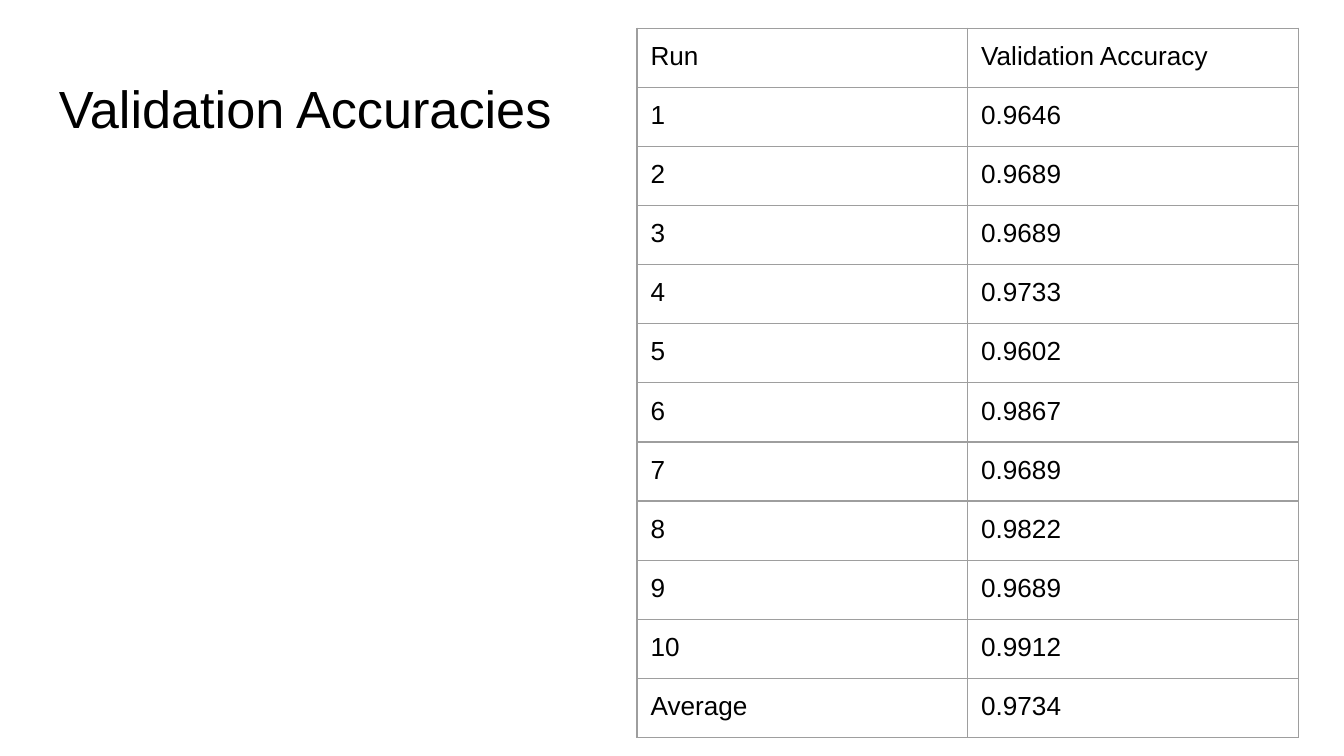
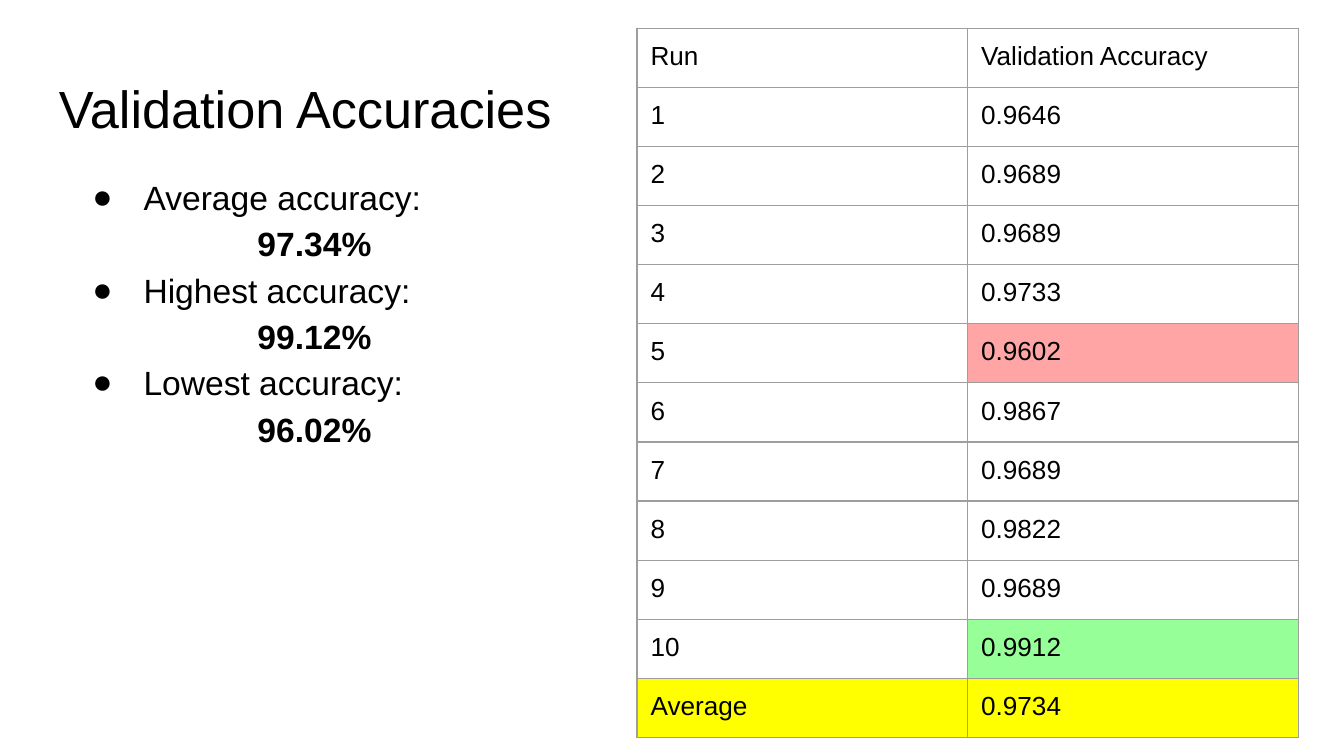
from lxml import etree
from pptx import Presentation
from pptx import util as u
from pptx.dml.color import RGBColor
from pptx.enum import text
from pptx.oxml.ns import qn

INK, GRID = "000000", "9E9E9E"
RED, GREEN, GOLD = "FFA5A5", "97FF97", "FFFF00"
FONT = "Arial"
PAD = u.Inches(0.1)
RUNS = ["0.9646", "0.9689", "0.9689", "0.9733", "0.9602",
        "0.9867", "0.9689", "0.9822", "0.9689", "0.9912"]
ROWS = [("Run", "Validation Accuracy"),
        *((str(n), score) for n, score in enumerate(RUNS, 1)),
        ("Average", "0.9734")]
MARKS = {(5, 1): RED, (10, 1): GREEN, (11, 0): GOLD, (11, 1): GOLD}
FACTS = [("Average", "97.34%"), ("Highest", "99.12%"), ("Lowest", "96.02%")]


def tint(code):
    return RGBColor.from_string(code)


def write(para, words, size=14, bold=False, color=INK, align=None, space=None):
    run = para.add_run()
    run.text = words
    font = run.font
    font.name, font.size, font.bold = FONT, u.Pt(size), bold
    font.color.rgb = tint(color)
    para.alignment = align
    para.line_spacing = space


def bullet(para, color=INK):
    props = para._p.get_or_add_pPr()
    props.set("marL", str(u.Inches(0.5)))
    props.set("indent", str(u.Inches(-0.38)))
    paint = etree.SubElement(props, qn("a:buClr"))
    etree.SubElement(paint, qn("a:srgbClr"), val=color)
    etree.SubElement(props, qn("a:buFont"), typeface=FONT)
    etree.SubElement(props, qn("a:buChar"), char="●")


def frame(cell, color=GRID, width=0.75):
    props = cell._tc.get_or_add_tcPr()
    for side in ("lnL", "lnR", "lnT", "lnB"):
        line = etree.SubElement(props, qn(f"a:{side}"), w=str(u.Pt(width)))
        fill = etree.SubElement(line, qn("a:solidFill"))
        etree.SubElement(fill, qn("a:srgbClr"), val=color)


class Deck:
    """Holds the shared style and the slide being built."""

    def __init__(self):
        self.file = Presentation()
        self.file.slide_width = u.Inches(10)
        self.file.slide_height = u.Inches(10) * 9 // 16
        self.slide = None

    def page(self, title):
        self.slide = self.file.slides.add_slide(self.file.slide_layouts[6])
        fill = self.slide.background.fill
        fill.solid()
        fill.fore_color.rgb = tint("FFFFFF")
        body = self.box(0.34, 0.47, 9.32, 0.63)
        write(body.paragraphs[0], title, size=28)

    def box(self, left, top, width, height):
        area = map(u.Inches, (left, top, width, height))
        body = self.slide.shapes.add_textbox(*area).text_frame
        body.word_wrap = True
        body.vertical_anchor = text.MSO_ANCHOR.TOP
        body.margin_left = body.margin_right = PAD
        body.margin_top = body.margin_bottom = PAD
        return body

    def facts(self, items):
        body = self.box(0.47, 1.17, 3.74, 4.31)
        para = body.paragraphs[0]
        for i, (name, value) in enumerate(items):
            if i:
                para = body.add_paragraph()
            write(para, f"{name} accuracy:", size=18, space=1.15)
            bullet(para)
            write(body.add_paragraph(), value, size=18, bold=True,
                  align=text.PP_ALIGN.CENTER, space=1.15)

    def table(self, rows, marks):
        wide, high = u.Inches(2.46), u.Inches(0.44)
        cols = len(rows[0])
        grid = self.slide.shapes.add_table(
            len(rows), cols, u.Inches(4.74), u.Inches(0.21),
            wide * cols, high * len(rows)).table
        grid.first_row = grid.horz_banding = False
        for col in grid.columns:
            col.width = wide
        for r, row in enumerate(rows):
            grid.rows[r].height = high
            for c, words in enumerate(row):
                self.cell(grid.cell(r, c), words, marks.get((r, c)))

    def cell(self, cell, words, color):
        cell.margin_left = cell.margin_right = PAD
        cell.margin_top = cell.margin_bottom = PAD
        write(cell.text_frame.paragraphs[0], words)
        frame(cell)
        if color:
            cell.fill.solid()
            cell.fill.fore_color.rgb = tint(color)
        else:
            cell.fill.background()


def main():
    deck = Deck()
    for items, marks in (([], {}), (FACTS, MARKS)):
        deck.page("Validation Accuracies")
        if items:
            deck.facts(items)
        deck.table(ROWS, marks)
    deck.file.save("out.pptx")


if __name__ == "__main__":
    main()
